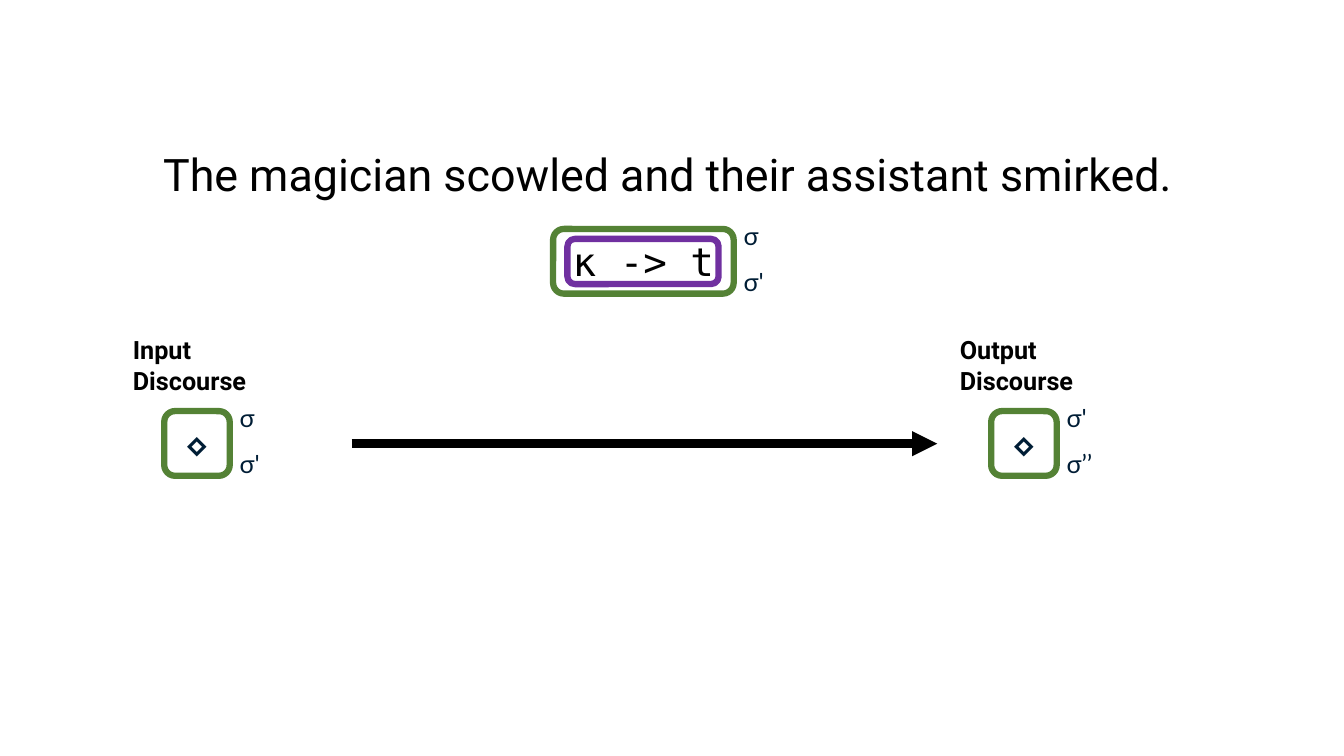
from lxml import etree
from pptx import Presentation
from pptx.dml.color import RGBColor
from pptx.enum.shapes import MSO_CONNECTOR, MSO_SHAPE
from pptx.enum.text import MSO_ANCHOR, PP_ALIGN
from pptx.oxml.ns import qn
from pptx.util import Cm, Pt

ROUNDED = MSO_SHAPE.ROUNDED_RECTANGLE
STRAIGHT = MSO_CONNECTOR.STRAIGHT
MIDDLE = MSO_ANCHOR.MIDDLE
CENTER = PP_ALIGN.CENTER

BLACK, NAVY, GREEN, PURPLE = "000000", "001D35", "548235", "7030A0"
PROSE, SYMBOL, CODE = "Roboto", "Lato", "DejaVu Sans Mono"


def color(value):
    return RGBColor.from_string(value)


class DiscourseSlide:
    frame_height = 1.63
    formula_width, formula_height = 7.77, 1.37
    outline_width = 4.5

    def __init__(self, page):
        self.shapes = page.shapes

    def style_text(self, frame, text, size, font, ink, bold=False):
        frame.text = text
        for para in frame.paragraphs:
            for span in para.runs:
                span.font.size = Pt(size)
                span.font.name = font
                span.font.bold = bold
                span.font.color.rgb = color(ink)

    def text(self, left, top, width, height, text, size, font, ink, bold=False):
        box = self.shapes.add_textbox(Cm(left), Cm(top), Cm(width), Cm(height))
        box.text_frame.word_wrap = True
        self.style_text(box.text_frame, text, size, font, ink, bold)

    def rounded(self, left, top, width, height, outline=None):
        """Add an unfilled rounded rectangle, without a line if no outline is given."""
        shape = self.shapes.add_shape(ROUNDED, Cm(left), Cm(top), Cm(width), Cm(height))
        shape.shadow.inherit = False
        shape.fill.background()
        if outline:
            shape.line.color.rgb = color(outline)
            shape.line.width = Pt(self.outline_width)
        else:
            shape.line.fill.background()
        return shape

    def state(self, left, top, width, formula, font, ink, upper, lower):
        """Add a green frame around a formula, with two stack marks at its right."""
        label = self.rounded(
            left + (width - self.formula_width) / 2,
            top + (self.frame_height - self.formula_height) / 2,
            self.formula_width, self.formula_height)
        label.text_frame.vertical_anchor = MIDDLE
        self.style_text(label.text_frame, formula, 28, font, ink)
        label.text_frame.paragraphs[0].alignment = CENTER

        self.rounded(left, top, width, self.frame_height, GREEN)
        for mark, offset in ((upper, -0.35), (lower, 0.82)):
            self.text(left + width, top + offset, 1.24, 1.02, mark, 18, SYMBOL, NAVY)

    def discourse(self, left, heading, upper, lower):
        self.state(left + 1.04, 10.36, 1.65, "⋄", SYMBOL, NAVY, upper, lower)
        self.text(left, 8.31, 3.76, 1.8, heading, 18, PROSE, BLACK, bold=True)

    def arrow(self, start, end, height):
        line = self.shapes.add_connector(STRAIGHT, Cm(start), Cm(height), Cm(end), Cm(height))
        line.line.color.rgb = color(BLACK)
        line.line.width = Pt(6)
        etree.SubElement(line.line._get_or_add_ln(), qn("a:tailEnd"), type="triangle")
        etree.SubElement(line._element.spPr, qn("a:effectLst"))


def main():
    deck = Presentation()
    deck.slide_width, deck.slide_height = Cm(33.87), Cm(19.05)
    slide = DiscourseSlide(deck.slides.add_slide(deck.slide_layouts[6]))

    slide.text(3.86, 3.56, 26.14, 1.63,
               "The magician scowled and their assistant smirked.", 32, PROSE, BLACK)
    slide.discourse(3.1, "Input\nDiscourse", "σ", "σ'")
    slide.discourse(23.94, "Output\nDiscourse", "σ'", "σ’’")
    slide.arrow(8.86, 23.62, 11.18)
    slide.state(13.94, 5.77, 4.55, "κ -> t", CODE, BLACK, "σ", "σ'")
    slide.rounded(14.3, 6.02, 3.81, 1.14, PURPLE)

    deck.save("out.pptx")


if __name__ == "__main__":
    main()
